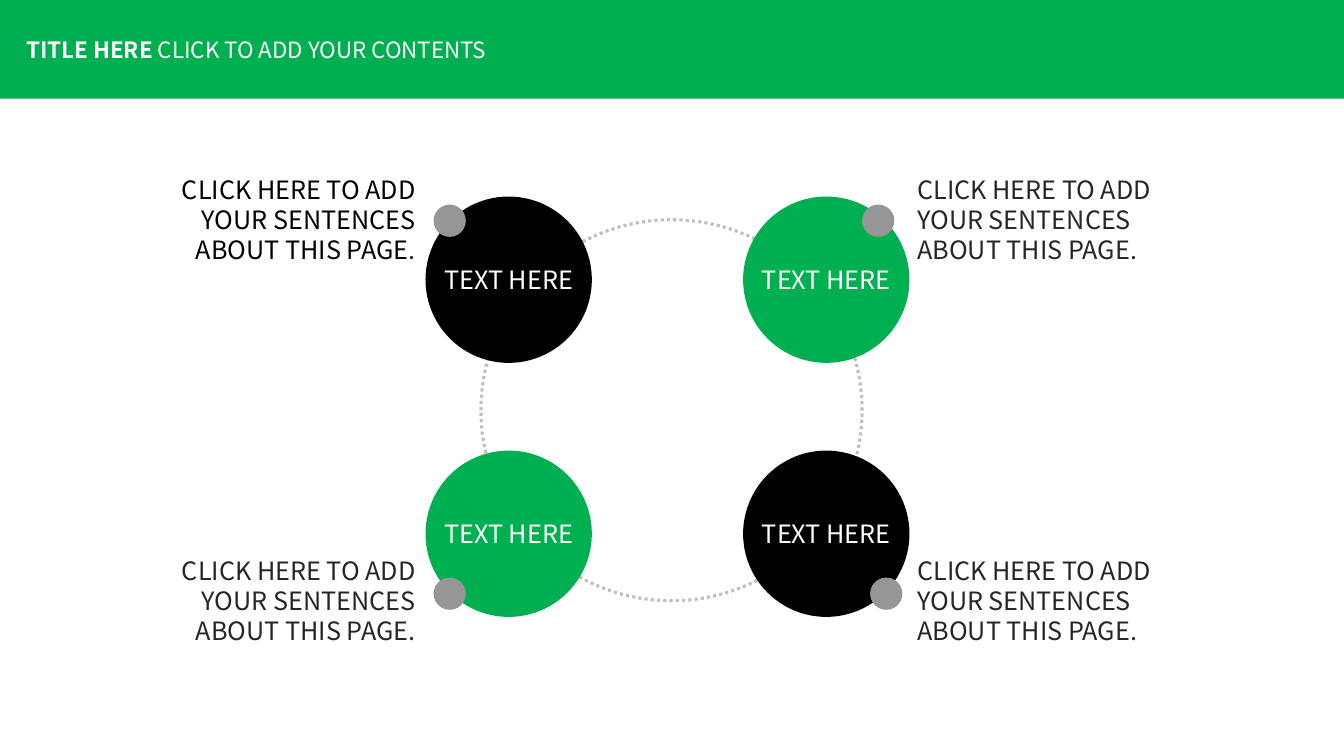
from pptx import Presentation
from pptx.dml.color import RGBColor
from pptx.enum.dml import MSO_LINE
from pptx.enum.shapes import MSO_SHAPE
from pptx.enum.text import MSO_ANCHOR, MSO_AUTO_SIZE, PP_ALIGN
from pptx.util import Inches, Pt

RECT, OVAL = MSO_SHAPE.RECTANGLE, MSO_SHAPE.OVAL
LEFT, CENTER, RIGHT = PP_ALIGN.LEFT, PP_ALIGN.CENTER, PP_ALIGN.RIGHT
TOP, MIDDLE = MSO_ANCHOR.TOP, MSO_ANCHOR.MIDDLE
NO_FIT, DOTTED = MSO_AUTO_SIZE.NONE, MSO_LINE.ROUND_DOT

FONT = "Noto Sans CJK SC"
GREEN, BLACK, WHITE = "00B050", "000000", "FFFFFF"
GREY, RING_GREY, DARK = "969696", "BFBFBF", "262626"
SLIDE_W, SLIDE_H = 13.33, 7.5
CAPTION = "CLICK HERE TO ADD YOUR SENTENCES ABOUT THIS PAGE"


def color(hex_string):
    return RGBColor.from_string(hex_string)


def write(frame, *runs, size=18, align=LEFT, anchor=TOP, wrap=True):
    """Fill a text frame with (text, colour, bold) runs."""
    frame.auto_size = NO_FIT
    frame.word_wrap = wrap
    frame.vertical_anchor = anchor
    paragraph = frame.paragraphs[0]
    paragraph.alignment = align
    for text, ink, bold in runs:
        run = paragraph.add_run()
        run.text = text
        run.font.name = FONT
        run.font.size = Pt(size)
        run.font.bold = bold
        run.font.color.rgb = color(ink)


def add_plain(slide, kind, box, fill=None):
    """Add a flat shape with no line or shadow."""
    shape = slide.shapes.add_shape(kind, *map(Inches, box))
    shape.shadow.inherit = False
    shape.line.fill.background()
    if fill:
        shape.fill.solid()
        shape.fill.fore_color.rgb = color(fill)
    else:
        shape.fill.background()
    return shape


def add_header(slide, left, top, width, height):
    banner = add_plain(slide, RECT, (left, top, width, height), GREEN)
    title = slide.shapes.title
    title.left, title.top = Inches(left + 0.16), Inches(top + 0.31)
    title.width, title.height = Inches(5.25), Inches(0.37)
    write(title.text_frame, ("TITLE HERE ", WHITE, True),
          ("CLICK TO ADD YOUR CONTENTS", WHITE, False), size=16)
    # The title stands in front of its banner
    banner.element.addnext(title.element)


def add_cycle(slide, left, top):
    """Dotted ring with four labelled discs, their dots and captions."""
    # Ring
    ring = add_plain(slide, OVAL, (left + 3.15, top + 0.5, 3.78, 3.78))
    ring.line.color.rgb = color(RING_GREY)
    ring.line.width = Pt(2.25)
    ring.line.dash_style = DOTTED

    # Column, row, disc colour, dot offset in the disc, caption ink
    corners = [
        (0, 0, BLACK, (0.08, 0.08), BLACK),
        (1, 0, GREEN, (1.18, 0.08), DARK),
        (0, 1, GREEN, (0.08, 1.26), DARK),
        (1, 1, BLACK, (1.26, 1.26), DARK),
    ]
    for column, row, fill, (dot_x, dot_y), ink in corners:
        disc_left = left + 2.6 + 3.15 * column
        disc_top = top + 0.27 + 2.52 * row
        disc = add_plain(slide, OVAL, (disc_left, disc_top, 1.65, 1.65), fill)
        write(disc.text_frame, ("TEXT HERE", WHITE, False),
              align=CENTER, anchor=MIDDLE, wrap=False)
        add_plain(slide, OVAL,
                  (disc_left + dot_x, disc_top + dot_y, 0.32, 0.32), GREY)
        caption = slide.shapes.add_textbox(
            Inches(left + 7.38 * column), Inches(top + 3.78 * row),
            Inches(2.6), Inches(1.31))
        write(caption.text_frame, (CAPTION, ink, False), (".", DARK, False),
              align=LEFT if column else RIGHT)


def main():
    deck = Presentation()
    deck.slide_width, deck.slide_height = Inches(SLIDE_W), Inches(SLIDE_H)
    slide = deck.slides.add_slide(deck.slide_layouts[5])
    add_header(slide, 0, 0, SLIDE_W, 0.98)
    add_cycle(slide, 1.62, 1.68)
    deck.save("out.pptx")


if __name__ == "__main__":
    main()
